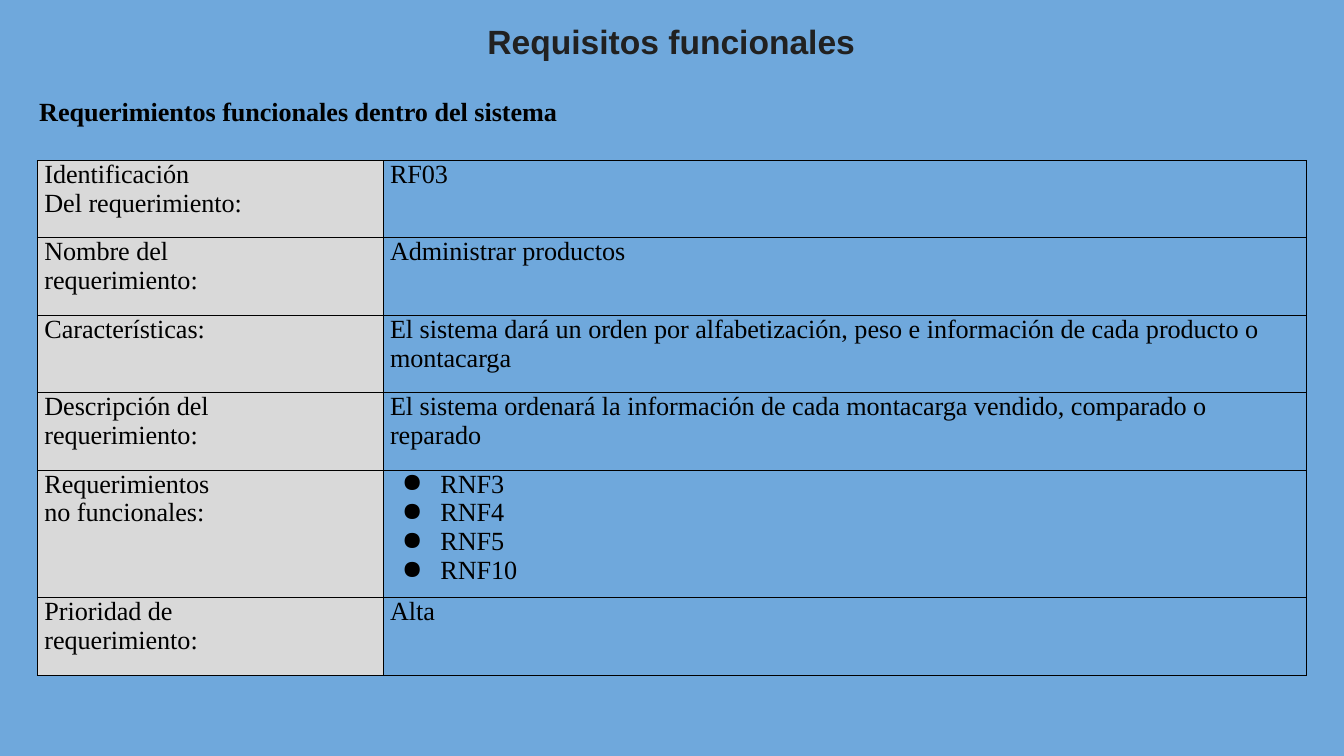
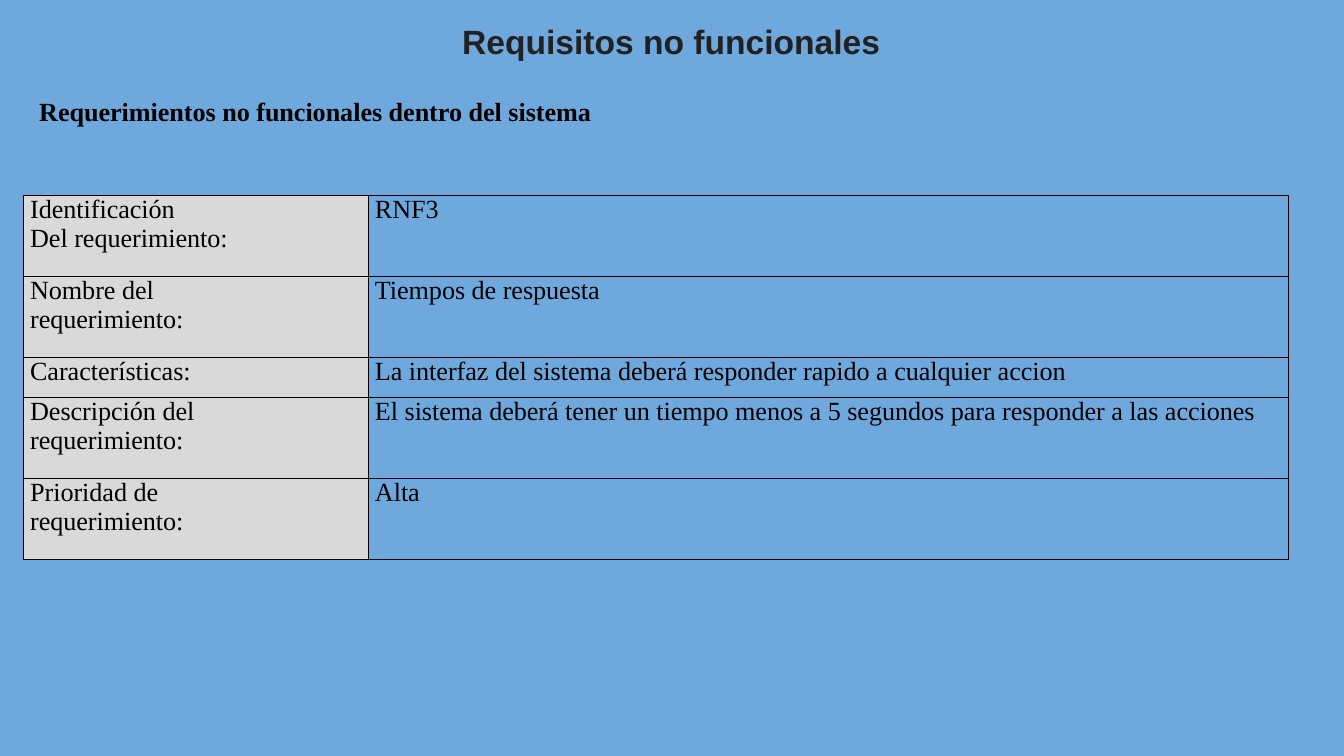
from dataclasses import dataclass

from lxml.etree import SubElement
from pptx import Presentation
from pptx.dml.color import RGBColor
from pptx.enum.text import MSO_ANCHOR, MSO_AUTO_SIZE, PP_ALIGN
from pptx.oxml.ns import qn
from pptx.util import Cm, Pt

# Shared look
COLORS = {
    "background": "6FA8DC",
    "title": "212121",
    "text": "000000",
    "label": "D9D9D9",
    "border": "000000",
}
TITLE_FONT = {"name": "Arial", "size": Pt(24), "bold": True}
TEXT_FONT = {"name": "Times New Roman", "size": Pt(18.67), "bold": False}
HEADING_FONT = TEXT_FONT | {"bold": True}
BORDER_WIDTH = Pt(0.5)
TITLE_BOX = (1.14, 0.2, 31.55, 2.97)
HEADING_BOX = (0.74, 1.37, 31.55, 1.32)

# Row labels used by both tables
ID = "Identificación\nDel requerimiento:"
NAME = "Nombre del\nrequerimiento:"
FEATURES = "Características:"
DESCRIPTION = "Descripción del\nrequerimiento:"
NON_FUNCTIONAL = "Requerimientos\nno funcionales:"
PRIORITY = "Prioridad de\nrequerimiento:"


@dataclass
class Row:
    label: str
    value: str
    height: float
    bulleted: bool = False


@dataclass
class Requirement:
    title: str
    heading: str
    left: float
    top: float
    columns: tuple[float, float]
    rows: list[Row]


REQUIREMENTS = [
    Requirement(
        "Requisitos funcionales",
        "Requerimientos funcionales dentro del sistema",
        0.94, 4.04, (8.71, 23.27),
        [
            Row(ID, "RF03", 1.95),
            Row(NAME, "Administrar productos", 1.95),
            Row(FEATURES, "El sistema dará un orden por alfabetización, peso e "
                "información de cada producto o montacarga", 1.95),
            Row(DESCRIPTION, "El sistema ordenará la información de cada "
                "montacarga vendido, comparado o reparado", 1.95),
            Row(NON_FUNCTIONAL, "RNF3\nRNF4\nRNF5\nRNF10", 3.22, bulleted=True),
            Row(PRIORITY, "Alta", 1.95),
        ],
    ),
    Requirement(
        "Requisitos no funcionales",
        "Requerimientos no funcionales dentro del sistema",
        0.58, 4.92, (8.69, 23.19),
        [
            Row(ID, "RNF3", 2.04),
            Row(NAME, "Tiempos de respuesta", 2.04),
            Row(FEATURES, "La interfaz del sistema deberá responder rapido a "
                "cualquier accion", 1.02),
            Row(DESCRIPTION, "El sistema deberá tener un tiempo menos a 5 "
                "segundos para responder a las acciones", 2.04),
            Row(PRIORITY, "Alta", 2.04),
        ],
    ),
]


def rgb(name: str) -> RGBColor:
    return RGBColor.from_string(COLORS[name])


def set_margins(target, horizontal: float, vertical: float) -> None:
    for side in ("left", "right"):
        setattr(target, f"margin_{side}", Cm(horizontal))
    for side in ("top", "bottom"):
        setattr(target, f"margin_{side}", Cm(vertical))


def write(tf, text: str, font: dict, color: str) -> None:
    """Write one paragraph per line of text."""
    for i, line in enumerate(text.split("\n")):
        p = tf.add_paragraph() if i else tf.paragraphs[0]
        r = p.add_run()
        r.text = line
        for name, value in font.items():
            setattr(r.font, name, value)
        r.font.color.rgb = rgb(color)


def add_bullets(tf) -> None:
    for p in tf.paragraphs:
        pPr = p._p.get_or_add_pPr()
        pPr.set("marL", str(Cm(1.27)))
        pPr.set("indent", str(Cm(-0.97)))
        color = SubElement(pPr, qn("a:buClr"))
        SubElement(color, qn("a:srgbClr"), val=COLORS["text"])
        SubElement(pPr, qn("a:buChar"), char="●")


def add_borders(cell) -> None:
    tcPr = cell._tc.get_or_add_tcPr()
    for side in ("L", "R", "T", "B"):
        line = SubElement(tcPr, qn(f"a:ln{side}"), w=str(BORDER_WIDTH))
        fill = SubElement(line, qn("a:solidFill"))
        SubElement(fill, qn("a:srgbClr"), val=COLORS["border"])


def format_cell(cell, text: str) -> None:
    set_margins(cell, 0.18, 0)
    cell.vertical_anchor = MSO_ANCHOR.TOP
    add_borders(cell)
    write(cell.text_frame, text, TEXT_FONT, "text")


def add_title(s, text: str) -> None:
    sp = s.shapes.title
    sp.left, sp.top, sp.width, sp.height = map(Cm, TITLE_BOX)
    tf = sp.text_frame
    tf.auto_size = MSO_AUTO_SIZE.NONE
    tf.vertical_anchor = MSO_ANCHOR.TOP
    set_margins(tf, 0.33, 0.33)
    write(tf, text, TITLE_FONT, "title")
    tf.paragraphs[0].alignment = PP_ALIGN.CENTER


def add_heading(s, text: str) -> None:
    tf = s.shapes.add_textbox(*map(Cm, HEADING_BOX)).text_frame
    tf.word_wrap = True
    set_margins(tf, 0.25, 0.25)
    write(tf, text, HEADING_FONT, "text")
    tf.paragraphs[0].line_spacing = 2.0


def add_requirement_table(s, req: Requirement) -> None:
    width = sum(req.columns)
    height = sum(row.height for row in req.rows)
    table = s.shapes.add_table(len(req.rows), len(req.columns), Cm(req.left),
                               Cm(req.top), Cm(width), Cm(height)).table
    table.first_row = table.horz_banding = False
    for column, column_width in zip(table.columns, req.columns):
        column.width = Cm(column_width)
    for i, row in enumerate(req.rows):
        table.rows[i].height = Cm(row.height)
        label, value = table.cell(i, 0), table.cell(i, 1)
        format_cell(label, row.label)
        format_cell(value, row.value)
        label.fill.solid()
        label.fill.fore_color.rgb = rgb("label")
        value.fill.background()
        if row.bulleted:
            add_bullets(value.text_frame)


def main() -> None:
    prs = Presentation()
    prs.slide_width, prs.slide_height = Cm(33.87), Cm(19.05)
    background = prs.slide_master.background.fill
    background.solid()
    background.fore_color.rgb = rgb("background")
    title_only = prs.slide_layouts.get_by_name("Title Only")
    for req in REQUIREMENTS:
        s = prs.slides.add_slide(title_only)
        add_title(s, req.title)
        add_heading(s, req.heading)
        add_requirement_table(s, req)
    prs.save("out.pptx")


if __name__ == "__main__":
    main()
